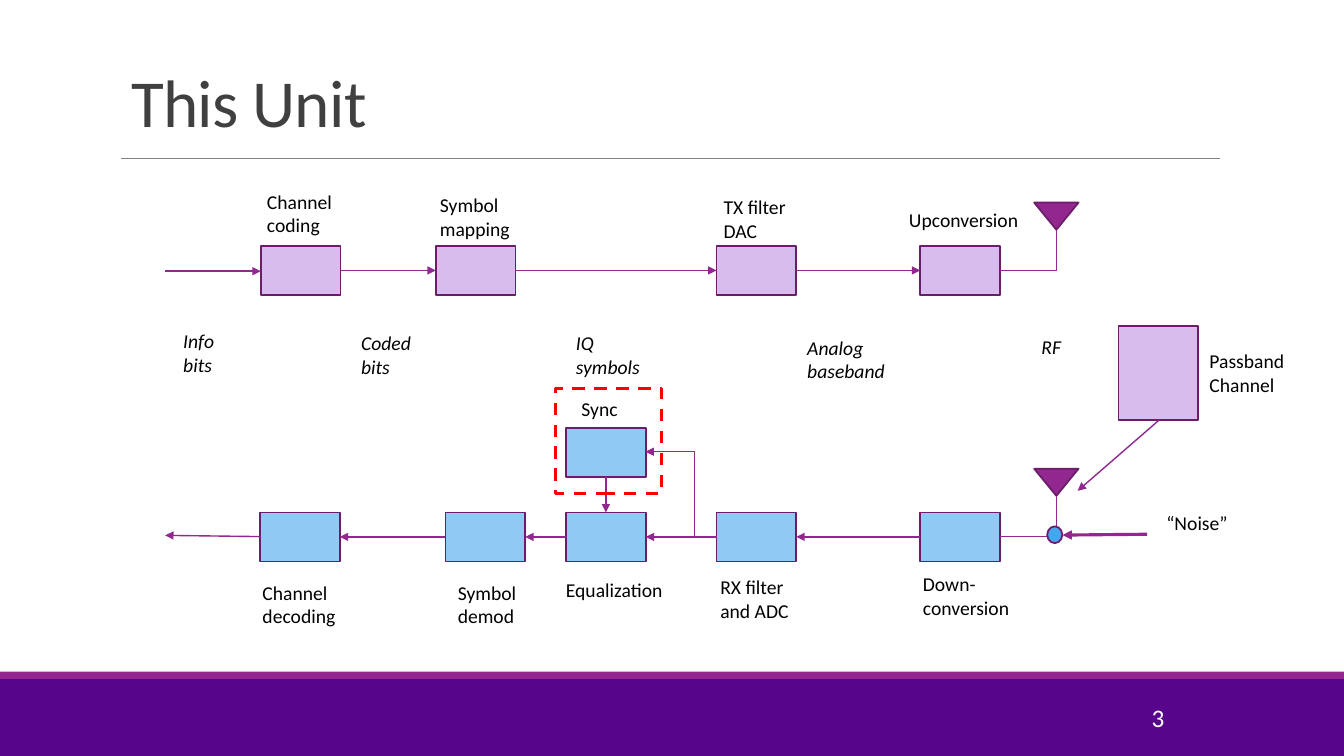
from pptx import Presentation, util as u
from pptx.dml import color
from pptx.enum import dml, shapes, text
from pptx.oxml.ns import qn
from lxml import etree

Pt = u.Pt
SHAPE = shapes.MSO_SHAPE
LINE = shapes.MSO_CONNECTOR
TOP, LEFT, BOTTOM, RIGHT = range(4)  # connection sites of a rectangle

PURPLE, DARK_PURPLE, VIOLET = "92278F", "6C1D6A", "57068C"
LILAC, SKY, BLUE = "D7BCED", "8FC9F4", "45A5ED"
BLACK, WHITE, GREY, CHARCOAL, RED = "000000", "FFFFFF", "808080", "404040", "FF0000"


def rgb(code):
    return color.RGBColor.from_string(code)


def apply(target, **values):
    for key, value in values.items():
        setattr(target, key, value)


class Diagram:
    font = "Calibri"
    label_size = 14

    def __init__(self, slide):
        self.slide = slide
        self.shapes = slide.shapes

    def fill_text(self, frame, words, size, ink, italic=False, align=text.PP_ALIGN.LEFT):
        frame.text = words
        for paragraph in frame.paragraphs:
            paragraph.alignment = align
            for run in paragraph.runs:
                apply(run.font, name=self.font, size=Pt(size), italic=italic)
                run.font.color.rgb = rgb(ink)

    def title(self, words, left, top, width, height):
        title = self.shapes.title
        apply(title, left=Pt(left), top=Pt(top), width=Pt(width), height=Pt(height))
        apply(title.text_frame, auto_size=text.MSO_AUTO_SIZE.NONE, word_wrap=True,
              vertical_anchor=text.MSO_ANCHOR.BOTTOM)
        self.fill_text(title.text_frame, words, 48, CHARCOAL)
        heading = title.text_frame.paragraphs[0]
        heading.line_spacing = 0.85
        heading.runs[0].font._element.set("spc", "-50")

    def label(self, words, left, top, width, height=41, size=None, ink=BLACK,
              wrap=True, anchor=text.MSO_ANCHOR.TOP, **style):
        box = self.shapes.add_textbox(Pt(left), Pt(top), Pt(width), Pt(height))
        apply(box.text_frame, word_wrap=wrap, vertical_anchor=anchor)
        self.fill_text(box.text_frame, words, size or self.label_size, ink, **style)

    def shape(self, kind, left, top, width, height, fill=None, line=DARK_PURPLE,
              weight=1.25, dash=None, rotation=0):
        shape = self.shapes.add_shape(kind, Pt(left), Pt(top), Pt(width), Pt(height))
        shape.shadow.inherit = False
        shape.rotation = rotation
        if fill:
            shape.fill.solid()
            shape.fill.fore_color.rgb = rgb(fill)
        else:
            shape.fill.background()
        if line:
            apply(shape.line, width=Pt(weight), dash_style=dash)
            shape.line.color.rgb = rgb(line)
        else:
            shape.line.fill.background()
        return shape

    def block(self, left, top, fill, width=57, height=35):
        return self.shape(SHAPE.RECTANGLE, left, top, width, height, fill)

    def line(self, start, end, ink=PURPLE, weight=1, arrow=True, kind=LINE.STRAIGHT):
        line = self.shapes.add_connector(kind, *map(Pt, (*start, *end)))
        line.line.width = Pt(weight)
        line.line.color.rgb = rgb(ink)
        if arrow:
            etree.SubElement(line.line._get_or_add_ln(), qn("a:tailEnd"), type="triangle")
        etree.SubElement(line._element.spPr, qn("a:effectLst"))
        return line

    def link(self, source, source_site, target, target_site):
        """Draw an arrow glued to two blocks."""
        arrow = self.line((0, 0), (0, 0))
        arrow.begin_connect(source, source_site)
        arrow.end_connect(target, target_site)

    def elbow(self, start, end, up_first=False, arrow=False):
        """Draw a line with one right-angled bend."""
        if up_first:
            (x1, y1), (x2, y2) = start, end
            mid_x, mid_y = (x1 + x2) / 2, (y1 + y2) / 2
            half_w, half_h = abs(y2 - y1) / 2, abs(x2 - x1) / 2
            start, end = (mid_x - half_w, mid_y + half_h), (mid_x + half_w, mid_y - half_h)
        line = self.line(start, end, arrow=arrow, kind=LINE.ELBOW)
        properties = line._element.spPr
        properties.find(qn("a:prstGeom")).set("prst", "bentConnector2")
        if up_first:
            properties.find(qn("a:xfrm")).set("rot", str(270 * 60000))

    def antenna(self, top, feed_y):
        self.shape(SHAPE.ISOSCELES_TRIANGLE, 738.7, top, 31.7, 19.4, PURPLE, rotation=180)
        self.elbow((714.4, feed_y), (754.6, top + 19.4))


def main():
    deck = Presentation()
    apply(deck, slide_width=Pt(960), slide_height=Pt(540))
    slide = deck.slides.add_slide(deck.slide_layouts[5])
    diagram = Diagram(slide)

    diagram.shape(SHAPE.RECTANGLE, 0, 485, 960, 55, VIOLET, None)
    diagram.shape(SHAPE.RECTANGLE, 0, 479.8, 960, 5.2, PURPLE, None)
    diagram.line((86.4, 113), (871.2, 113), GREY, 0.5, arrow=False)
    diagram.title("This Unit", 86.4, 22.3, 792, 82)
    diagram.label("3", 735.8, 497.8, 103, 28.8, size=18, ink=WHITE,
                  anchor=text.MSO_ANCHOR.MIDDLE, align=text.PP_ALIGN.RIGHT)

    # Transmitter and receiver chains
    coding, mapping, tx_filter, upconversion = [
        diagram.block(left, 175.7, LILAC) for left in (186.3, 311.2, 511.8, 657.3)]
    decoding, demod, equalization, rx_filter, downconversion = [
        diagram.block(left, 366, SKY) for left in (185.8, 318.2, 404.3, 511.8, 657.3)]
    sync = diagram.block(404.3, 305.5, SKY)
    diagram.block(798.9, 232.8, LILAC, height=67.2)

    transmit = [coding, mapping, tx_filter, upconversion]
    for source, target in zip(transmit, transmit[1:]):
        diagram.link(source, RIGHT, target, LEFT)
    receive = [downconversion, rx_filter, equalization, demod, decoding]
    for source, target in zip(receive, receive[1:]):
        diagram.link(source, LEFT, target, RIGHT)
    diagram.link(sync, BOTTOM, equalization, TOP)
    diagram.line((118, 193.7), (186.3, 193.7))
    diagram.line((185.8, 383.3), (118, 382.4))
    diagram.elbow((496.1, 383.3), (461.1, 322.7), up_first=True, arrow=True)

    # Radio link
    diagram.antenna(144.7, 193.2)
    diagram.antenna(334.8, 383.3)
    diagram.shape(SHAPE.OVAL, 748, 376, 10.8, 12, BLUE)
    diagram.line((819.4, 381.6), (758.9, 382.2), weight=2.25)
    diagram.line((828, 300), (769.8, 350.6))

    for words, left, top, width in [
        ("Channel coding", 183.6, 131.9, 75.6),
        ("TX filter DAC", 509.8, 135.9, 74.2),
        ("Upconversion", 642.2, 145.2, 92.9),
        ("Passband\nChannel", 856.8, 245.7, 92.9),
        ("Down-conversion", 652.1, 405.2, 92.9),
        ("RX filter\vand ADC", 507.4, 407.1, 92.9),
        ("Sync", 408.2, 280, 92.9),
        ("Equalization", 397.1, 409.2, 92.9),
        ("Symbol\vdemod", 319.9, 411.3, 68.4),
        ("Channel\vdecoding", 180.4, 411.3, 68.4),
        ("“Noise”", 826, 361.3, 92.9),
    ]:
        diagram.label(words, left, top, width)
    diagram.label("Symbol\vmapping", 307.2, 134.6, 64.8, wrap=False)

    for signal, left, top, width in [
        ("Info bits", 123.8, 231.4, 56.2),
        ("Coded bits", 250.8, 233, 56.2),
        ("IQ symbols", 404.3, 233, 68.4),
        ("Analog baseband", 569.5, 236.3, 74.9),
        ("RF", 736.8, 235.6, 41),
    ]:
        diagram.label(signal, left, top, width, italic=True)

    diagram.shape(SHAPE.RECTANGLE, 396.7, 277.2, 75.6, 75.6, line=RED, weight=2.25,
                  dash=dml.MSO_LINE.DASH)
    deck.save("out.pptx")


if __name__ == "__main__":
    main()
